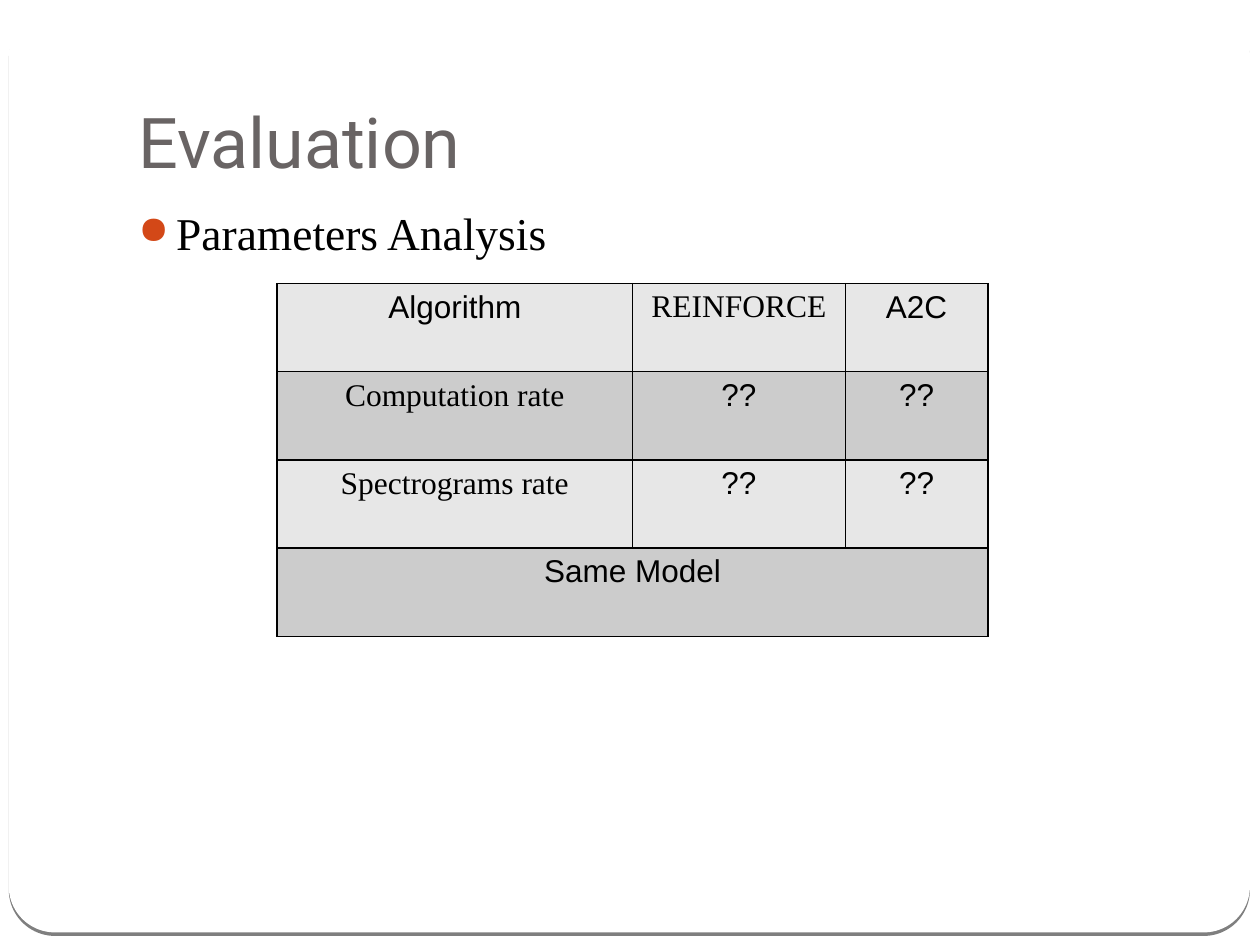
"""Build the evaluation slide with its parameter comparison table."""
from dataclasses import dataclass

from lxml.etree import SubElement
from pptx import Presentation
from pptx.dml.color import RGBColor
from pptx.enum.shapes import MSO_SHAPE
from pptx.enum.text import MSO_ANCHOR, PP_ALIGN
from pptx.oxml.ns import qn
from pptx.util import Inches, Pt

TITLE = "Evaluation"
TOPIC = "Parameters Analysis"
SANS, SERIF = "Arial", "Times New Roman"
ROWS = [
    [("Algorithm", SANS), ("REINFORCE", SERIF), ("A2C", SANS)],
    [("Computation rate", SERIF), ("??", SANS), ("??", SANS)],
    [("Spectrograms rate", SERIF), ("??", SANS), ("??", SANS)],
    [("Same Model", SANS)],
]
COLUMN_WIDTHS = [2.82, 1.69, 1.13]
ROW_HEIGHT = 0.7


@dataclass(frozen=True)
class Theme:
    title_font: str = "Roboto"
    title_size: float = 40
    topic_size: float = 26
    cell_size: float = 18
    border_width: float = 0.96
    paper: str = "FFFFFF"
    title: str = "696464"
    ink: str = "000000"
    bullet: str = "D34817"
    bands: tuple = ("E7E7E7", "CCCCCC")


THEME = Theme()


def add_xml(parent, tag, **attributes):
    return SubElement(parent, qn(tag), {key: str(value) for key, value in attributes.items()})


def style_text(paragraph, font, size, color):
    for run in paragraph.runs:
        run.font.name = font
        run.font.size = Pt(size)
        run.font.color.rgb = RGBColor.from_string(color)


def add_panel(slide):
    panel = slide.shapes.add_shape(
        MSO_SHAPE.ROUNDED_RECTANGLE, Inches(0.07), Inches(0.08), Inches(9.85), Inches(7.32))
    panel.adjustments[0] = 0.05
    panel.fill.solid()
    panel.fill.fore_color.rgb = RGBColor.from_string(THEME.paper)
    panel.line.fill.background()
    panel.shadow.inherit = False
    effects = panel.element.spPr.find(qn("a:effectLst"))
    shadow = add_xml(effects, "a:outerShdw", blurRad=0, dist=Pt(2), dir=90 * 60000,
                     algn="tl", rotWithShape=0)
    shade = add_xml(shadow, "a:srgbClr", val=THEME.ink)
    add_xml(shade, "a:alpha", val=50000)


def add_text(slide, text, top, height, font, size, color):
    box = slide.shapes.add_textbox(Inches(1), Inches(top), Inches(8.5), Inches(height))
    frame = box.text_frame
    frame.word_wrap = True
    frame.text = text
    style_text(frame.paragraphs[0], font, size, color)
    return frame


def add_bullet(paragraph):
    paragraph.space_before = Pt(5.8)
    properties = paragraph._p.get_or_add_pPr()
    properties.set("marL", str(Inches(0.3)))
    properties.set("indent", str(-Inches(0.3)))
    add_xml(add_xml(properties, "a:buClr"), "a:srgbClr", val=THEME.bullet)
    add_xml(properties, "a:buSzPct", val=85000)
    add_xml(properties, "a:buChar", char="●")


def style_cell(cell, band):
    properties = cell._tc.get_or_add_tcPr()
    for side in ("a:lnL", "a:lnR", "a:lnT", "a:lnB"):
        border = add_xml(properties, side, w=Pt(THEME.border_width))
        add_xml(add_xml(border, "a:solidFill"), "a:srgbClr", val=THEME.ink)
    cell.fill.solid()
    cell.fill.fore_color.rgb = RGBColor.from_string(band)


def add_comparison(slide):
    comparison = slide.shapes.add_table(
        len(ROWS), len(COLUMN_WIDTHS), Inches(2.2), Inches(2.25),
        Inches(sum(COLUMN_WIDTHS)), Inches(ROW_HEIGHT * len(ROWS))).table
    comparison.first_row = comparison.horz_banding = False
    for column, width in zip(comparison.columns, COLUMN_WIDTHS):
        column.width = Inches(width)
    last = len(COLUMN_WIDTHS) - 1
    for index, entries in enumerate(ROWS):
        comparison.rows[index].height = Inches(ROW_HEIGHT)
        for column in range(len(COLUMN_WIDTHS)):
            style_cell(comparison.cell(index, column), THEME.bands[index % 2])
        if len(entries) == 1:
            comparison.cell(index, 0).merge(comparison.cell(index, last))
        for column, (text, font) in enumerate(entries):
            paragraph = comparison.cell(index, column).text_frame.paragraphs[0]
            paragraph.text = text
            paragraph.alignment = PP_ALIGN.CENTER
            style_text(paragraph, font, THEME.cell_size, THEME.ink)


def main():
    deck = Presentation()
    deck.slide_width, deck.slide_height = Inches(10), Inches(7.5)
    slide = deck.slides.add_slide(deck.slide_layouts[6])
    add_panel(slide)
    heading = add_text(slide, TITLE, 0.3, 1.25, THEME.title_font, THEME.title_size, THEME.title)
    heading.vertical_anchor = MSO_ANCHOR.BOTTOM
    heading.margin_bottom = Inches(0.1)
    topic = add_text(slide, TOPIC, 1.58, 5, SERIF, THEME.topic_size, THEME.ink)
    add_bullet(topic.paragraphs[0])
    add_comparison(slide)
    deck.save("out.pptx")


if __name__ == "__main__":
    main()
